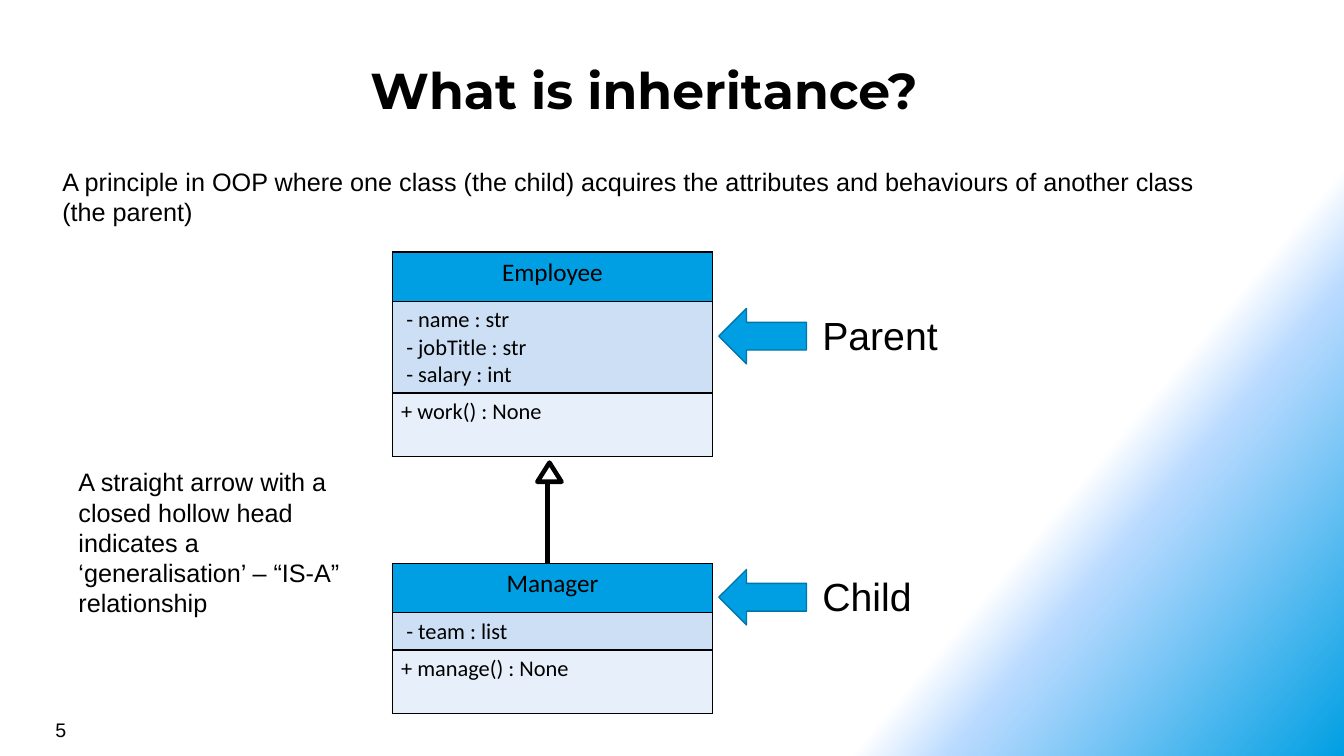
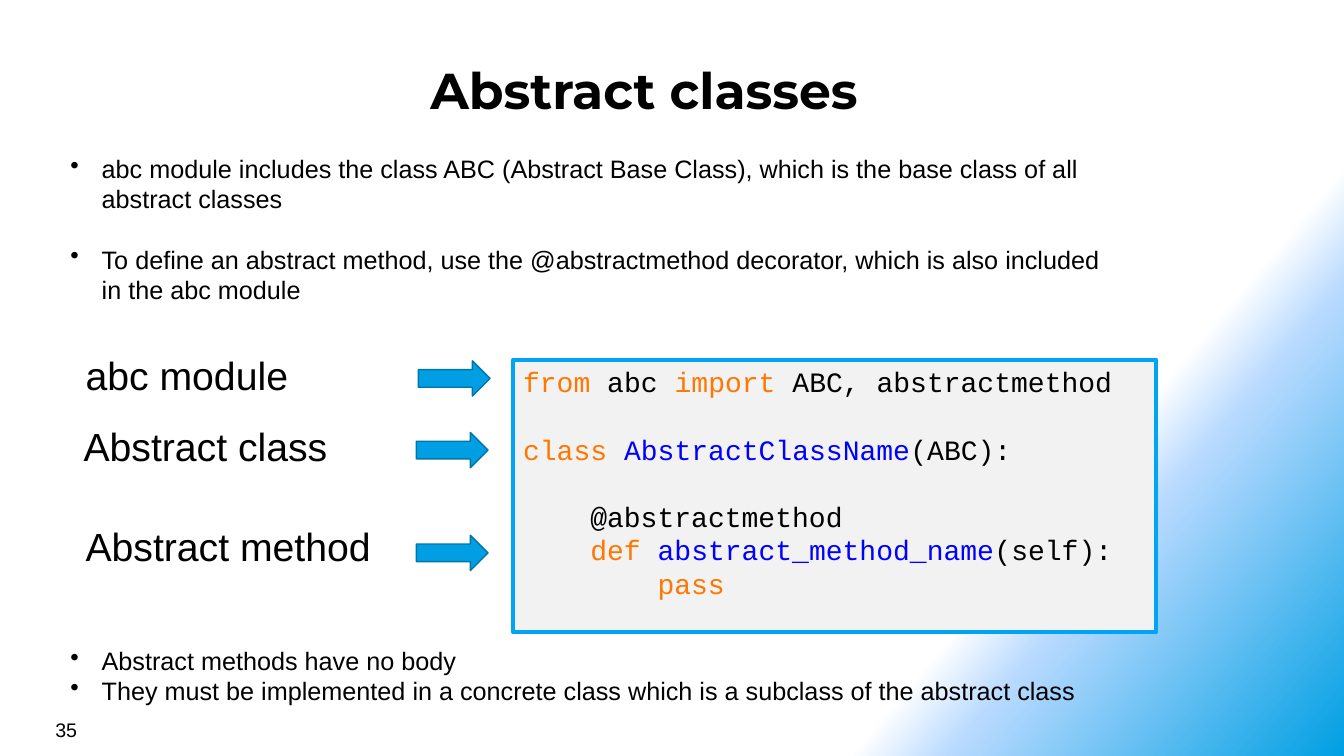
from lxml.etree import SubElement
from pptx import Presentation
from pptx.dml.color import RGBColor
from pptx.enum.shapes import MSO_CONNECTOR, MSO_SHAPE
from pptx.enum.text import MSO_ANCHOR, MSO_AUTO_SIZE, PP_ALIGN
from pptx.oxml.ns import qn
from pptx.util import Inches, Pt

WIDTH, HEIGHT = Inches(13.33), Inches(7.5)
LEAD = 1.2  # line pitch as a share of the text size

BLACK = RGBColor(0x00, 0x00, 0x00)
WHITE = RGBColor(0xFF, 0xFF, 0xFF)
BLUE = RGBColor(0x00, 0x9F, 0xE3)
SKY = RGBColor(0xB9, 0xDA, 0xFF)
EDGE = RGBColor(0x00, 0x76, 0xA8)
FRAME = RGBColor(0x00, 0xA4, 0xF6)
PALE = RGBColor(0xCC, 0xDF, 0xF4)
MIST = RGBColor(0xE7, 0xF0, 0xFA)
GREY = RGBColor(0xF2, 0xF2, 0xF2)
ORANGE = RGBColor(0xFF, 0x77, 0x00)
NAVY = RGBColor(0x00, 0x00, 0xFF)

TITLE = {"name": "Montserrat", "size": Pt(36), "bold": True}
BODY = {"name": "Arial", "size": Pt(18)}
LABEL = {"name": "Arial", "size": Pt(28)}
FOOT = {"name": "Arial", "size": Pt(14)}
CODE = {"name": "Courier New", "size": Pt(20)}
HEAD = {"name": "Calibri", "size": Pt(18)}
ITEM = {"name": "Calibri", "size": Pt(16)}


def place(x, y, w, h):
    """Turn percentages of the slide's size into lengths."""
    return [int(share * side / 100)
            for share, side in zip((x, y, w, h), (WIDTH, HEIGHT) * 2)]


def write(par, parts, style):
    """Fill a paragraph with a text or with (text, colour) pairs."""
    if isinstance(parts, str):
        parts = [(parts, BLACK)]
    for text, color in parts:
        run = par.add_run()
        run.text = text
        run.font.color.rgb = color
        for name, value in style.items():
            setattr(run.font, name, value)


def lines(frame):
    """Yield the first paragraph, then new ones."""
    yield frame.paragraphs[0]
    while True:
        yield frame.add_paragraph()


def indent(par, left, first=0):
    props = par._p.get_or_add_pPr()
    props.set("marL", str(int(left)))
    props.set("indent", str(int(first)))
    return props


def text(slide, box, words, style, gap=0, bullet=False):
    frame = slide.shapes.add_textbox(*place(*box)).text_frame
    frame.word_wrap = True
    for count, (words_in, par) in enumerate(zip(words, lines(frame))):
        par.line_spacing = Pt(style["size"].pt * LEAD)
        if count and gap:
            par.space_before = Pt(gap)
        if bullet:
            props = indent(par, Inches(0.31), -Inches(0.31))
            SubElement(props, qn("a:buChar")).set("char", "•")
        write(par, words_in, style)


def shape(slide, kind, box, fill, edge, width):
    item = slide.shapes.add_shape(kind, *place(*box))
    item.shadow.inherit = False
    if fill is None:
        item.fill.background()
    else:
        item.fill.solid()
        item.fill.fore_color.rgb = fill
    item.line.color.rgb = edge
    item.line.width = Pt(width)
    return item


def arrow(slide, box, turn=0):
    item = shape(slide, MSO_SHAPE.RIGHT_ARROW, box, BLUE, EDGE, 1)
    item.rotation = turn


def border(cell):
    props = cell._tc.get_or_add_tcPr()
    for side in ("lnL", "lnR", "lnT", "lnB"):
        line = SubElement(props, qn(f"a:{side}"), w=str(Pt(1)))
        fill = SubElement(line, qn("a:solidFill"))
        SubElement(fill, qn("a:srgbClr"), val=str(BLACK))


def entity(slide, y, name, fields, method):
    """Draw a class box: name, attributes and method."""
    rows = [
        ([name], HEAD, BLUE, 0.49, 0.09),
        (fields, ITEM, PALE, 0.1 + 0.27 * len(fields), 0.14),
        ([method], ITEM, MIST, 0.63, 0.09),
    ]
    total = sum(row[3] for row in rows)
    box = place(29.18, y, 23.85, 0)
    box[3] = Inches(total)
    table = slide.shapes.add_table(len(rows), 1, *box).table
    table.first_row = table.horz_banding = False
    for at, (words, style, color, high, left) in enumerate(rows):
        table.rows[at].height = Inches(high)
        cell = table.cell(at, 0)
        border(cell)
        cell.fill.solid()
        cell.fill.fore_color.rgb = color
        sides = {"left": left, "right": 0.09, "top": 0.05, "bottom": 0.05}
        for side, size in sides.items():
            setattr(cell, f"margin_{side}", Inches(size))
        for words_in, par in zip(words, lines(cell.text_frame)):
            par.alignment = PP_ALIGN.CENTER if style is HEAD else PP_ALIGN.LEFT
            write(par, words_in, style)


def stem(slide, x, start, end):
    ends = place(x, start, x, end)
    line = slide.shapes.add_connector(MSO_CONNECTOR.STRAIGHT, *ends)
    line.line.color.rgb = BLACK
    line.line.width = Pt(3.25)
    SubElement(line._element.spPr, qn("a:effectLst"))


def code(slide, box, rows):
    """Draw a code panel from (level, lines skipped, parts) rows."""
    panel = shape(slide, MSO_SHAPE.RECTANGLE, box, GREY, FRAME, 3)
    frame = panel.text_frame
    frame.word_wrap = True
    frame.vertical_anchor = MSO_ANCHOR.TOP
    pitch = CODE["size"].pt * LEAD
    for (level, skip, parts), par in zip(rows, lines(frame)):
        par.alignment = PP_ALIGN.LEFT
        par.line_spacing = Pt(pitch)
        par.space_before = Pt(skip * pitch)
        indent(par, level * 4 * CODE["size"] * 0.6)
        write(par, parts, CODE)


def backdrop(master):
    """Give every slide the diagonal gradient."""
    fill = master.background.fill
    fill.gradient()
    fill.gradient_angle = 320
    stops = master.element.find(".//" + qn("a:gsLst"))
    for old in list(stops):
        stops.remove(old)
    for spot, color, alpha in ((75, WHITE, 100), (80, SKY, 50), (100, BLUE, 100)):
        stop = SubElement(stops, qn("a:gs"), pos=str(spot * 1000))
        tint = SubElement(stop, qn("a:srgbClr"), val=str(color))
        if alpha < 100:
            SubElement(tint, qn("a:alpha"), val=str(alpha * 1000))


def page(deck, name, number):
    """Add a slide with its title and page number."""
    slide = deck.slides.add_slide(deck.slide_layouts[5])
    title = slide.shapes.title
    box = place(1.95, 6.8, 91.95, 7.33)
    for side, size in zip(("left", "top", "width", "height"), box):
        setattr(title, side, size)
    frame = title.text_frame
    inset = Inches(0.08)
    form = {"margin_left": inset, "margin_right": inset, "margin_top": inset,
            "margin_bottom": inset, "word_wrap": True,
            "auto_size": MSO_AUTO_SIZE.NONE, "vertical_anchor": MSO_ANCHOR.TOP}
    for key, value in form.items():
        setattr(frame, key, value)
    frame.paragraphs[0].alignment = PP_ALIGN.CENTER
    write(frame.paragraphs[0], name, TITLE)
    text(slide, (3.38, 94.27, 23.33, 4.4), [str(number)], FOOT)
    return slide


def parents(deck):
    slide = page(deck, "What is inheritance?", 5)
    text(slide, (3.9, 21.33, 86.85, 9.47),
         ["A principle in OOP where one class (the child) acquires the "
          "attributes and behaviours of another class (the parent)"], BODY)
    # Roles beside the class boxes
    for y, role in ((40.8, "Parent"), (75.33, "Child")):
        arrow(slide, (53.48, y, 6.53, 7.33), 180)
        text(slide, (60.45, y - 0.27, 11.78, 7.6), [role], LABEL)
    text(slide, (5.1, 61.07, 22.5, 21.6),
         ["A straight arrow with a closed hollow head indicates a "
          "‘generalisation’ – “IS-A” relationship"], BODY)
    # Class diagram
    entity(slide, 33.33, "Employee",
           ["- name : str", "- jobTitle : str", "- salary : int"],
           "+ work() : None")
    entity(slide, 74.53, "Manager", ["- team : list"], "+ manage() : None")
    shape(slide, MSO_SHAPE.ISOSCELES_TRIANGLE, (39.98, 61.2, 1.8, 2.53),
          None, BLACK, 3.25)
    stem(slide, 40.73, 74.53, 63.6)


def abstracts(deck):
    slide = page(deck, "Abstract classes", 35)
    text(slide, (4.5, 19.6, 79.73, 25.6),
         ["abc module includes the class ABC (Abstract Base Class), which is "
          "the base class of all abstract classes",
          "To define an abstract method, use the @abstractmethod decorator, "
          "which is also included in the abc module"],
         BODY, gap=BODY["size"].pt * LEAD, bullet=True)
    # Labels pointing at the code
    marks = ((5.63, 45.87, "abc module", 31.13, 47.73),
             (5.48, 55.2, "Abstract class", 30.98, 57.2),
             (5.63, 68.4, "Abstract method", 30.98, 70.8))
    for x, y, name, tail, top in marks:
        text(slide, (x, y, 24.6, 8.4), [name], LABEL)
        arrow(slide, (tail, top, 5.33, 4.67))
    # Code panel
    code(slide, (38.18, 47.6, 47.85, 36), [
        (0, 0, [("from", ORANGE), (" abc ", BLACK), ("import", ORANGE),
                (" ABC, abstractmethod", BLACK)]),
        (0, 1, [("class ", ORANGE), ("AbstractClassName", NAVY),
                ("(ABC):", BLACK)]),
        (1, 1, "@abstractmethod"),
        (1, 0, [("def ", ORANGE), ("abstract_method_name", NAVY),
                ("(self):", BLACK)]),
        (2, 0, [("pass", ORANGE)]),
    ])
    text(slide, (4.5, 84.67, 79.73, 9.47),
         ["Abstract methods have no body",
          "They must be implemented in a concrete class which is a subclass "
          "of the abstract class"], BODY, bullet=True)


def main():
    deck = Presentation()
    deck.slide_width, deck.slide_height = WIDTH, HEIGHT
    backdrop(deck.slide_master)
    parents(deck)
    abstracts(deck)
    deck.save("out.pptx")


if __name__ == "__main__":
    main()
